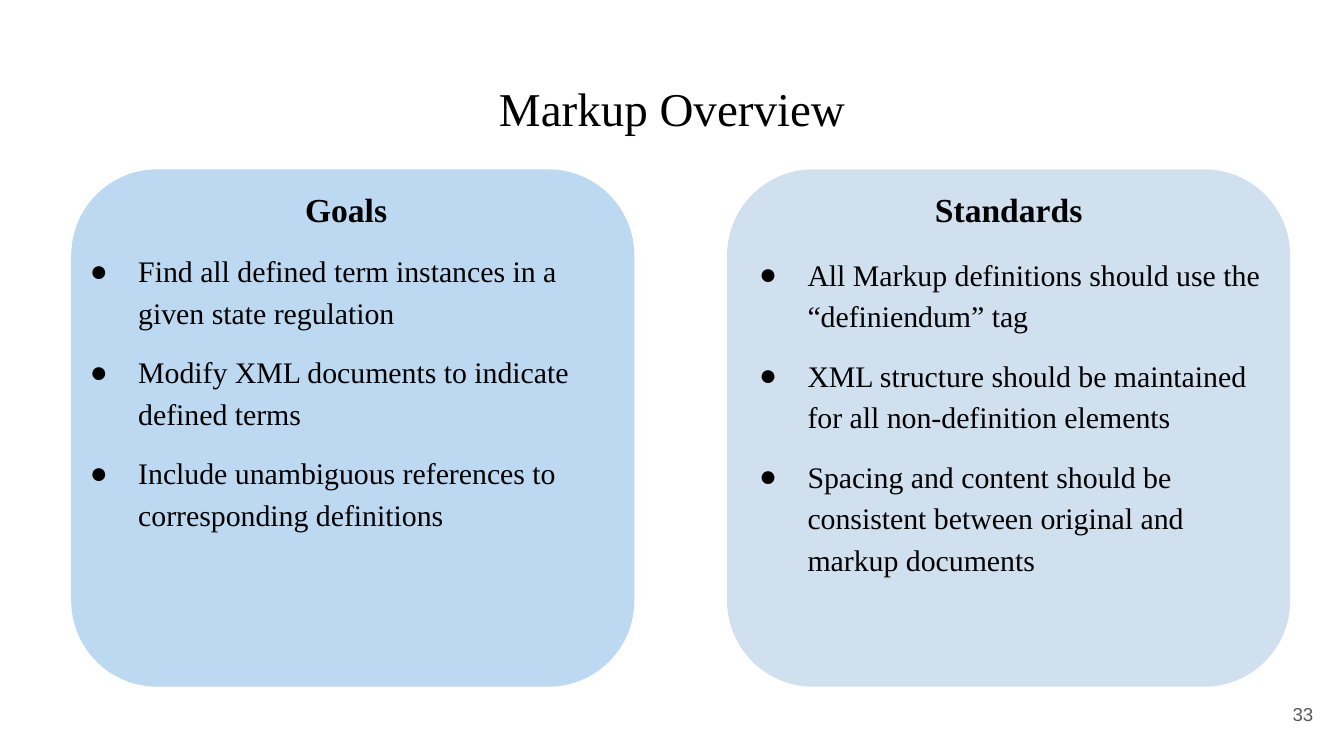
from typing import NamedTuple

from lxml import etree
from pptx import Presentation
from pptx.dml.color import RGBColor
from pptx.enum import shapes as kinds, text as modes
from pptx.oxml import ns
from pptx.util import Inches, Pt

SERIF, SANS = "Times New Roman", "Arial"
BLACK = RGBColor(0x00, 0x00, 0x00)
GRAY = RGBColor(0x59, 0x59, 0x59)
BLUE = RGBColor(0xBD, 0xD8, 0xF1)
PALE = RGBColor(0xD0, 0xE0, 0xEF)
LEFT, MID, RIGHT = modes.PP_ALIGN.LEFT, modes.PP_ALIGN.CENTER, modes.PP_ALIGN.RIGHT
TOP, WIDE, HIGH = 1.26, 4.19, 3.85


class Card(NamedTuple):
    left: float
    inset: float  # left edge of the text
    fill: RGBColor
    head: str
    gap: int  # points below the heading
    items: list[str]


CARDS = [
    Card(0.53, 0.43, BLUE, "Goals", 10, [
        "Find all defined term instances in a given state regulation",
        "Modify XML documents to indicate defined terms",
        "Include unambiguous references to corresponding definitions",
    ]),
    Card(5.41, 5.41, PALE, "Standards", 12, [
        "All Markup definitions should use the “definiendum” tag",
        "XML structure should be maintained for all non-definition elements",
        "Spacing and content should be consistent between original and markup documents",
    ]),
]


def add_box(slide, left: float, top: float, width: float, height: float,
            anchor=modes.MSO_ANCHOR.TOP):
    """Add a wrapping text box with even margins and return its frame."""
    box = slide.shapes.add_textbox(*map(Inches, (left, top, width, height)))
    frame = box.text_frame
    frame.word_wrap = True
    frame.vertical_anchor = anchor
    frame.margin_left = frame.margin_right = Inches(0.1)
    frame.margin_top = frame.margin_bottom = Inches(0.1)
    return frame


def write(para, words: str, size: float, align=LEFT, face: str = SERIF,
          color: RGBColor = BLACK, bold: bool = False) -> None:
    para.text = words
    para.alignment = align
    for run in para.runs:
        font = run.font
        font.name, font.size, font.bold = face, Pt(size), bold
        font.color.rgb = color


def add_bullet(para) -> None:
    props = para._p.get_or_add_pPr()
    props.set("marL", str(Inches(0.5)))
    props.set("indent", str(Inches(-0.36)))
    tint = etree.SubElement(props, ns.qn("a:buClr"))
    etree.SubElement(tint, ns.qn("a:srgbClr"), val=str(BLACK))
    etree.SubElement(props, ns.qn("a:buFont"), typeface=SERIF)
    etree.SubElement(props, ns.qn("a:buChar"), char="●")


def draw_card(slide, card: Card) -> None:
    panel = slide.shapes.add_shape(
        kinds.MSO_SHAPE.ROUNDED_RECTANGLE,
        *map(Inches, (card.left, TOP, WIDE, HIGH)))
    panel.shadow.inherit = False
    panel.fill.solid()
    panel.fill.fore_color.rgb = card.fill
    panel.line.fill.background()

    width = card.left + WIDE - card.inset
    frame = add_box(slide, card.inset, TOP, width, HIGH)
    head = frame.paragraphs[0]
    write(head, card.head, 18, MID, bold=True)
    head.line_spacing = 1.15
    for i, item in enumerate(card.items):
        para = frame.add_paragraph()
        add_bullet(para)
        write(para, item, 16)
        para.line_spacing = 1.15
        para.space_before = Pt(10 if i else card.gap)
    para.space_after = Pt(10)


def main() -> None:
    deck = Presentation()
    deck.slide_width, deck.slide_height = Inches(10), Inches(10) * 9 // 16
    slide = deck.slides.add_slide(deck.slide_layouts[6])

    title = add_box(slide, 0.34, 0.49, 9.32, 0.63, modes.MSO_ANCHOR.MIDDLE)
    write(title.paragraphs[0], "Markup Overview", 25.2, MID)
    for card in CARDS:
        draw_card(slide, card)
    number = add_box(slide, 9.27, 5.1, 0.6, 0.43, modes.MSO_ANCHOR.MIDDLE)
    write(number.paragraphs[0], "33", 10, RIGHT, SANS, GRAY)

    deck.save("out.pptx")


if __name__ == "__main__":
    main()
